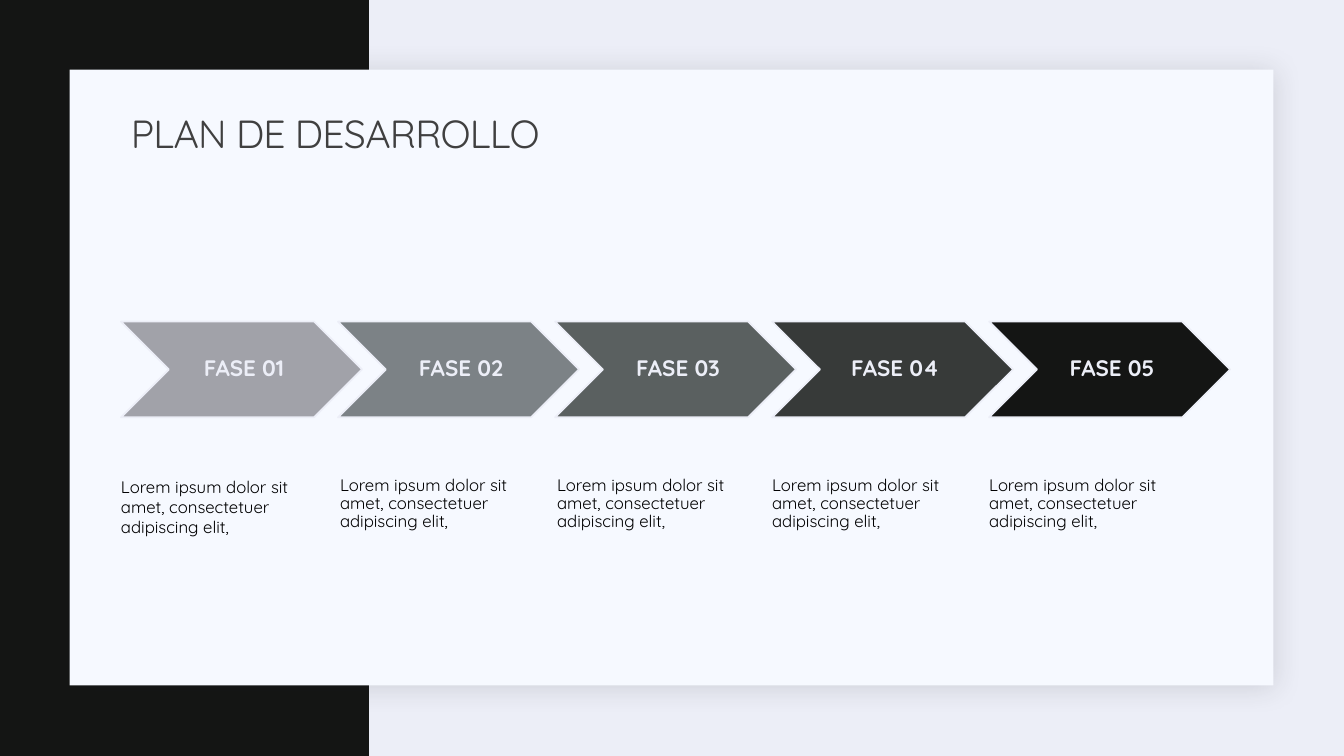
"""Builds the development plan slide: five phase chevrons with a note under each."""
from lxml import etree
from pptx import Presentation
from pptx import util as u
from pptx.dml.color import RGBColor
from pptx.enum import shapes, text
from pptx.oxml.ns import qn

COLORS = {
    "backdrop": "ECEEF7", "band": "141514", "card": "F6F9FF", "shadow": "1F2125",
    "title": "404040", "note": "000000",
}
FONT = "Quicksand"
NOTE = "Lorem ipsum dolor sit amet, consectetuer adipiscing elit,"
PHASES = [
    ("FASE 01", "A1A2A9", 0, 0.2, 1.0),
    ("FASE 02", "7C8286", 0.02, 0, 0.9),
    ("FASE 03", "5A6060", 0.02, 0.2, 0.9),
    ("FASE 04", "373A39", 0, 0.2, 0.9),
    ("FASE 05", "141514", 0, 0, 0.9),
]
START = 1.2
PITCH = 8.61 / 4


def add_block(preset, box, color):
    block = slide.shapes.add_shape(preset, *map(u.Inches, box))
    block.shadow.inherit = False
    block.fill.solid()
    block.fill.fore_color.rgb = RGBColor.from_string(color)
    block.line.fill.background()
    return block


def add_words(words, box, insets, size, color, spacing=0.9, anchor=text.MSO_ANCHOR.MIDDLE):
    frame = slide.shapes.add_textbox(*map(u.Inches, box)).text_frame
    frame.word_wrap = True
    frame.vertical_anchor = anchor
    frame.margin_left, frame.margin_top, frame.margin_right, frame.margin_bottom = map(u.Inches, insets)
    paragraph = frame.paragraphs[0]
    paragraph.text = words
    paragraph.line_spacing = spacing
    paragraph.font.name = FONT
    paragraph.font.size = u.Pt(size)
    paragraph.font.color.rgb = RGBColor.from_string(color)
    return paragraph


prs = Presentation()
prs.slide_width, prs.slide_height = u.Inches(13.33), u.Inches(7.5)
slide = prs.slides.add_slide(prs.slide_layouts[6])
slide.background.fill.solid()
slide.background.fill.fore_color.rgb = RGBColor.from_string(COLORS["backdrop"])

add_block(shapes.MSO_SHAPE.RECTANGLE, (0, 0, 3.66, 7.5), COLORS["band"])
card = add_block(shapes.MSO_SHAPE.RECTANGLE, (0.69, 0.69, 11.94, 6.11), COLORS["card"])
effects = card.element.spPr.find(qn("a:effectLst"))
shadow = etree.SubElement(effects, qn("a:outerShdw"), blurRad=str(u.Pt(20)), dist=str(u.Pt(2)),
                          dir="2700000", algn="ctr", rotWithShape="0")
tint = etree.SubElement(shadow, qn("a:srgbClr"), val=COLORS["shadow"])
etree.SubElement(tint, qn("a:alpha"), val="15000")

title = add_words("PLAN DE DESARROLLO", (START, 1.03, 11, 0.64), (0.1, 0.05, 0.1, 0.05),
                  28, COLORS["title"])
title.runs[0].font.size = u.Pt(28)
title.runs[0]._r.get_or_add_rPr().set("spc", "-50")

for i, (phase, color, note_left, note_right, spacing) in enumerate(PHASES):
    left = START + i * PITCH
    chevron = add_block(shapes.MSO_SHAPE.CHEVRON, (left, 3.19, 2.39, 0.95), color)
    chevron.line.color.rgb = RGBColor.from_string(COLORS["backdrop"])
    chevron.line.width = u.Pt(1.25)
    label = add_words(phase, (left + 0.48, 3.19, 1.43, 0.95), (0.07, 0.02, 0.02, 0.02),
                      16, COLORS["backdrop"])
    label.alignment = text.PP_ALIGN.CENTER
    label.font.bold = True
    add_words(NOTE, (left, 4.26, 1.91, 1.28), (note_left, 0.47, note_right, 0),
              12, COLORS["note"], spacing, text.MSO_ANCHOR.TOP)

prs.save("out.pptx")
